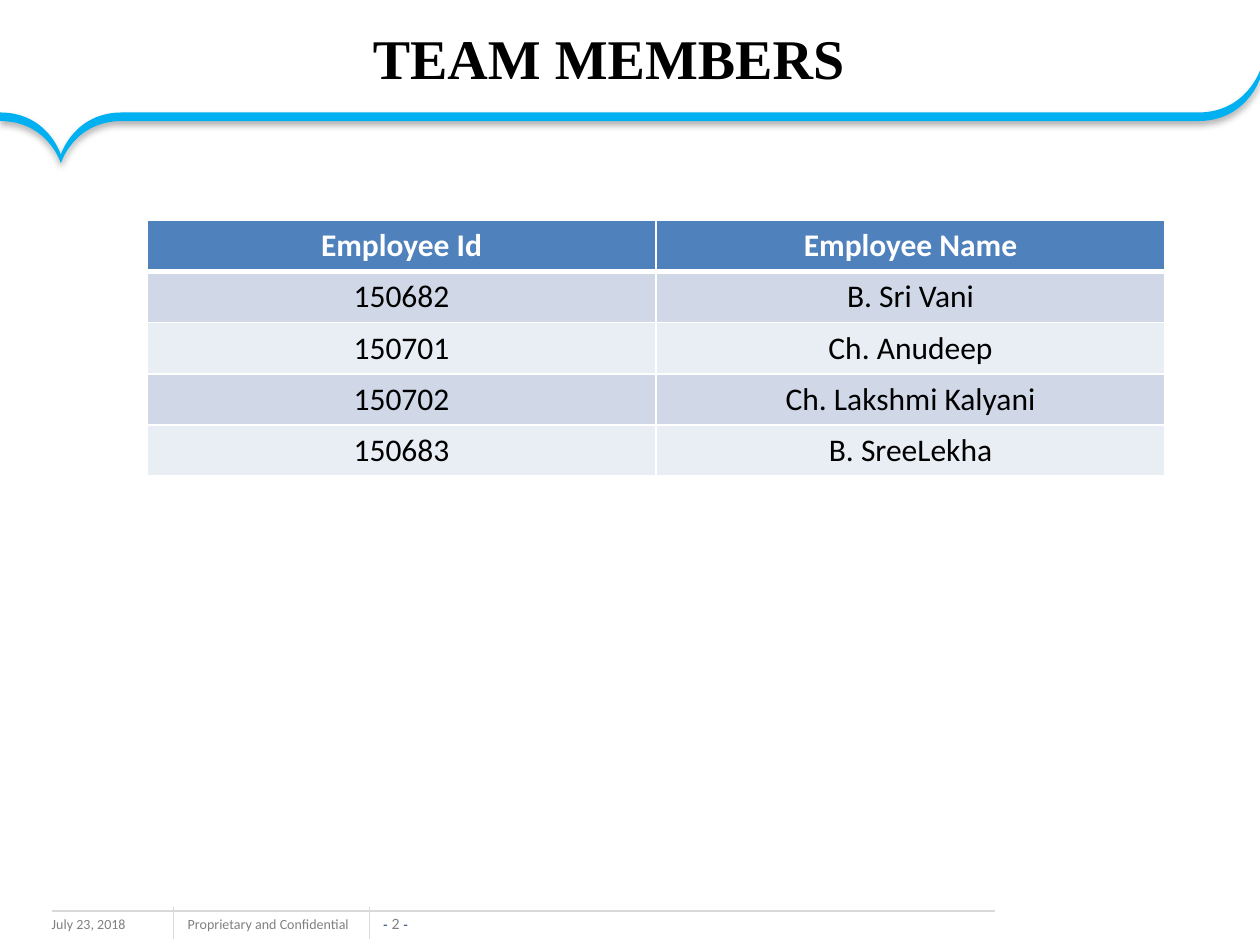
from dataclasses import dataclass

from lxml import etree
from pptx import Presentation
from pptx import util as u
from pptx.dml.color import RGBColor
from pptx.enum import shapes, text
from pptx.oxml import parse_xml
from pptx.oxml.ns import nsdecls, qn


@dataclass(frozen=True)
class Theme:
    # Colours
    ribbon: str = "00B0F0"
    header: str = "4F81BD"
    bands: tuple = ("D0D8E8", "E9EDF4")
    black: str = "000000"
    white: str = "FFFFFF"
    grey: str = "808080"
    rule: str = "D9D9D9"
    navy: str = "1F497D"
    # Fonts and type sizes
    serif: str = "Times New Roman"
    sans: str = "Calibri"
    plain: str = "Arial"
    title_size: float = 32
    table_size: float = 18
    page_size: float = 9
    footer_size: float = 8


def apply(target, values):
    for name, value in values.items():
        setattr(target, name, value)


def place(left, top, width, height):
    return [u.Pt(value) for value in (left, top, width, height)]


class SlideBuilder:
    def __init__(self, page, theme):
        self.page, self.theme = page, theme

    def span(self, para, words, font, size, color, bold=False):
        span = para.add_run()
        span.text = words
        apply(span.font, {"name": font, "size": u.Pt(size), "bold": bold})
        span.font.color.rgb = RGBColor.from_string(color)

    def title(self, words, area):
        box = self.page.shapes.title
        apply(box, dict(zip(("left", "top", "width", "height"), place(*area))))
        frame = box.text_frame
        apply(frame, {"vertical_anchor": text.MSO_ANCHOR.MIDDLE, "word_wrap": True})
        para = frame.paragraphs[0]
        para.alignment = text.PP_ALIGN.CENTER
        self.span(para, words, self.theme.serif, self.theme.title_size, self.theme.black, True)

    def label(self, spans, area, para_format=None, **frame_format):
        frame = self.page.shapes.add_textbox(*place(*area)).text_frame
        apply(frame, frame_format)
        para = frame.paragraphs[0]
        apply(para, para_format or {})
        for span in spans:
            self.span(para, *span)

    def line(self, start, end):
        ends = [u.Pt(value) for value in (*start, *end)]
        line = self.page.shapes.add_connector(shapes.MSO_CONNECTOR.STRAIGHT, *ends)
        line.line.color.rgb = RGBColor.from_string(self.theme.rule)
        line.line.width = u.Pt(0.75)
        etree.SubElement(line._element.spPr, qn("a:effectLst"))

    def ribbon(self, edge, thickness):
        """A band between a curved edge (node, control, control, node ...)
        and the same edge moved down."""
        lower = [(x, y + thickness) for x, y in reversed(edge)]
        points = [(u.Pt(x), u.Pt(y)) for x, y in edge + lower[:1] * 2 + lower]
        nodes = points[::3]
        outline = self.page.shapes.build_freeform(*nodes[0])
        outline.add_line_segments(nodes[1:], close=True)
        band = outline.convert_to_shape()

        # Bend each side by giving it its two control points
        sides = list(band._element.spPr.iter(qn("a:lnTo")))
        for index, side in enumerate(sides[:len(nodes) - 1]):
            side.tag = qn("a:cubicBezTo")
            controls = points[3 * index + 1:3 * index + 3]
            for position, (x, y) in enumerate(controls):
                side.insert(position, parse_xml(
                    f'<a:pt {nsdecls("a")} x="{x - band.left}" y="{y - band.top}"/>'))

        band.fill.solid()
        band.fill.fore_color.rgb = RGBColor.from_string(self.theme.ribbon)
        band.line.fill.background()
        band._element.spPr.append(parse_xml(
            f'<a:effectLst {nsdecls("a")}>'
            f'<a:outerShdw blurRad="{u.Pt(4)}" dist="{u.Pt(2)}" dir="5400000" rotWithShape="0">'
            f'<a:srgbClr val="{self.theme.black}"><a:alpha val="31000"/></a:srgbClr>'
            '</a:outerShdw></a:effectLst>'))

    def border(self, cell, **widths):
        for side, width in widths.items():
            cell._tc.get_or_add_tcPr().append(parse_xml(
                f'<a:ln{side} {nsdecls("a")} w="{u.Pt(width)}"><a:solidFill>'
                f'<a:srgbClr val="{self.theme.white}"/></a:solidFill></a:ln{side}>'))

    def table(self, records, area):
        theme = self.theme
        table = self.page.shapes.add_table(len(records), len(records[0]), *place(*area)).table
        for row, record in enumerate(records):
            head = row == 0
            fill = theme.header if head else theme.bands[(row - 1) % 2]
            color = theme.white if head else theme.black
            for column, words in enumerate(record):
                cell = table.cell(row, column)
                self.border(cell, L=1, R=1, T=3 if row == 1 else 1, B=3 if head else 1)
                cell.fill.solid()
                cell.fill.fore_color.rgb = RGBColor.from_string(fill)
                para = cell.text_frame.paragraphs[0]
                para.alignment = text.PP_ALIGN.CENTER
                self.span(para, words, theme.sans, theme.table_size, color, head)


def main():
    deck = Presentation()
    apply(deck, {"slide_width": u.Pt(720), "slide_height": u.Pt(540)})
    theme = Theme()
    slide = SlideBuilder(deck.slides.add_slide(deck.slide_layouts[5]), theme)

    # Footer
    small = (theme.sans, theme.footer_size, theme.grey)
    dash = (theme.plain, theme.footer_size, theme.navy)
    slide.label([("July 23, 2018", *small)], (22.5, 519.8, 95.8, 18), word_wrap=True)
    slide.label([("Proprietary and Confidential", *small)], (100.2, 519.8, 113, 17.3),
                word_wrap=False)
    slide.label([("- ", *dash), ("2 ", theme.sans, theme.page_size, theme.grey), ("-", *dash)],
                (216.7, 522, 18.7, 10.8), {"alignment": text.PP_ALIGN.CENTER},
                word_wrap=False, vertical_anchor=text.MSO_ANCHOR.BOTTOM,
                margin_left=0, margin_top=0, margin_right=0, margin_bottom=0)
    for x in (99.2, 211):
        slide.line((x, 518.4), (x, 536.4))
    slide.line((568.8, 520.6), (30, 520.6))

    # Ribbon under the title: a notch at the left, an upward sweep at the right
    level, notch, corner = 64.3, (34.8, 88.4), (720, 40.3)
    bend = (684.7, level)
    edge = [(0, level), (27.4, level), notch,
            notch, notch, (42.2, level),
            (69.8, level), bend, bend,
            bend, (712, level), corner, corner]
    slide.ribbon(edge, 4.9)

    # Title and team table
    slide.title("TEAM MEMBERS", (23.9, 1.4, 648, 62.6))
    slide.table([("Employee Id", "Employee Name"),
                 ("150682", "B. Sri Vani"),
                 ("150701", "Ch. Anudeep"),
                 ("150702", "Ch. Lakshmi Kalyani"),
                 ("150683", "B. SreeLekha")], (84, 126, 581.8, 146))

    deck.save("out.pptx")


if __name__ == "__main__":
    main()
